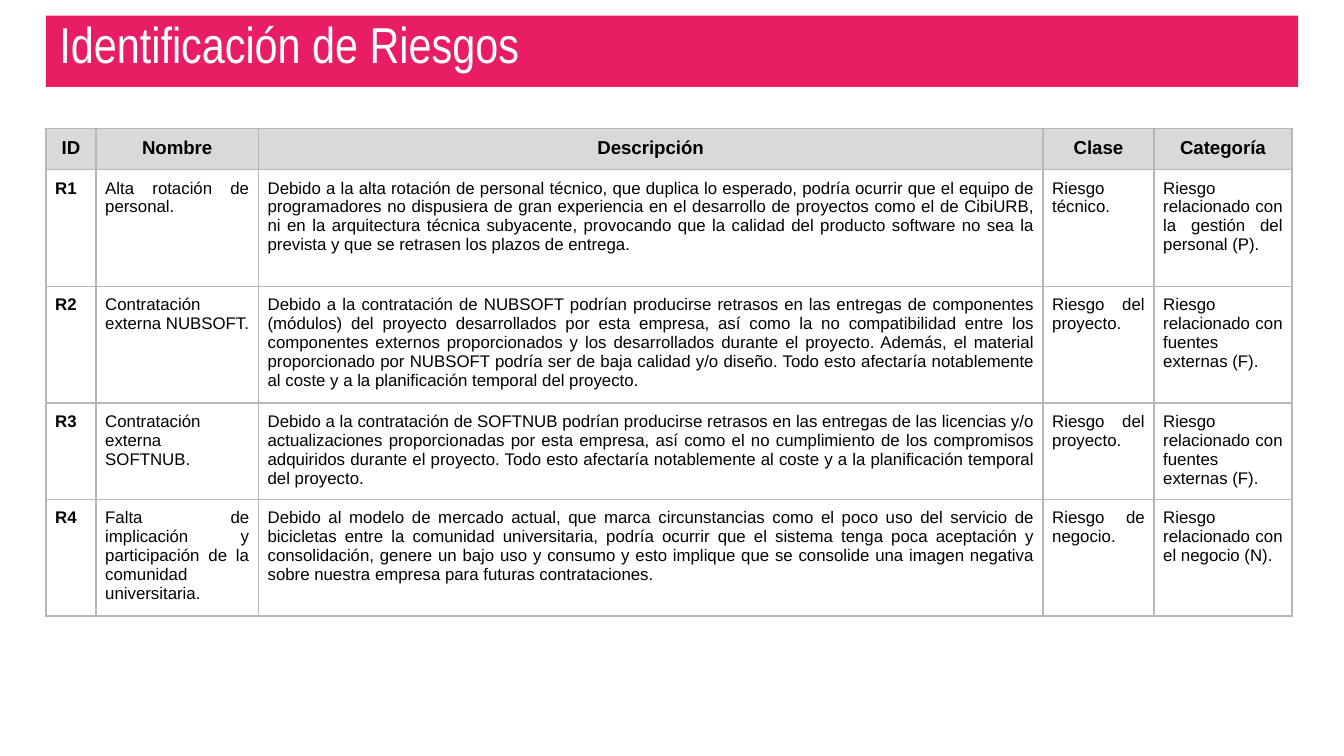
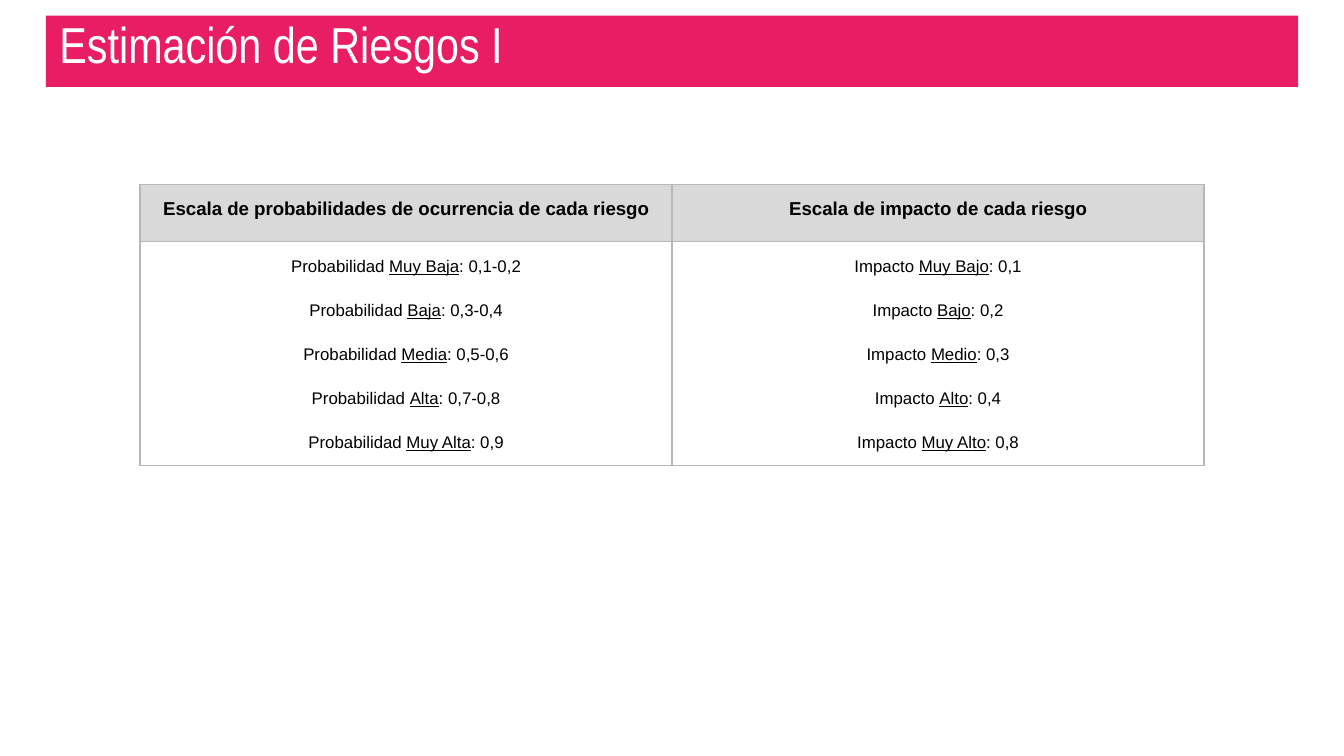
import pptx
import pptx.util
import pptx.dml.color
import pptx.enum.text
import pptx.oxml
import pptx.oxml.ns

Pt = pptx.util.Pt
Color = pptx.dml.color.RGBColor
Align = pptx.enum.text.PP_ALIGN
Anchor = pptx.enum.text.MSO_ANCHOR

PINK = Color(0xE9, 0x1D, 0x63)
WHITE = Color(0xFF, 0xFF, 0xFF)
BLACK = Color(0, 0, 0)
HEAD = Color(0xD9, 0xD9, 0xD9)
EDGE = Color(0xB7, 0xB7, 0xB7)

WIDTH, HEIGHT = 720, 405
BAND = (24.6, 8.4, 670.8, 38.2)

RISKS = [
    ("ID", "Nombre", "Descripción", "Clase", "Categoría"),
    ("R1", "Alta rotación de personal.",
     "Debido a la alta rotación de personal técnico, que duplica lo esperado, "
     "podría ocurrir que el equipo de programadores no dispusiera de gran "
     "experiencia en el desarrollo de proyectos como el de CibiURB, ni en la "
     "arquitectura técnica subyacente, provocando que la calidad del producto "
     "software no sea la prevista y que se retrasen los plazos de entrega.",
     "Riesgo técnico.",
     "Riesgo relacionado con la gestión del personal (P)."),
    ("R2", "Contratación externa NUBSOFT.",
     "Debido a la contratación de NUBSOFT podrían producirse retrasos en las "
     "entregas de componentes (módulos) del proyecto desarrollados por esta "
     "empresa, así como la no compatibilidad entre los componentes externos "
     "proporcionados y los desarrollados durante el proyecto. Además, el "
     "material proporcionado por NUBSOFT podría ser de baja calidad y/o "
     "diseño. Todo esto afectaría notablemente al coste y a la planificación "
     "temporal del proyecto.",
     "Riesgo del proyecto.",
     "Riesgo relacionado con fuentes externas (F)."),
    ("R3", "Contratación externa SOFTNUB.",
     "Debido a la contratación de SOFTNUB podrían producirse retrasos en las "
     "entregas de las licencias y/o actualizaciones proporcionadas por esta "
     "empresa, así como el no cumplimiento de los compromisos adquiridos "
     "durante el proyecto. Todo esto afectaría notablemente al coste y a la "
     "planificación temporal del proyecto.",
     "Riesgo del proyecto.",
     "Riesgo relacionado con fuentes externas (F)."),
    ("R4",
     "Falta de implicación y participación de la comunidad universitaria.",
     "Debido al modelo de mercado actual, que marca circunstancias como el "
     "poco uso del servicio de bicicletas entre la comunidad universitaria, "
     "podría ocurrir que el sistema tenga poca aceptación y consolidación, "
     "genere un bajo uso y consumo y esto implique que se consolide una "
     "imagen negativa sobre nuestra empresa para futuras contrataciones.",
     "Riesgo de negocio.",
     "Riesgo relacionado con el negocio (N)."),
]
RISK_COLS = (26.8, 87, 420.3, 59.5, 73.9)
RISK_ROWS = (22, 62.6, 62.6, 51.6, 62.6)

ODDS = [("Muy Baja", "0,1-0,2"), ("Baja", "0,3-0,4"), ("Media", "0,5-0,6"),
        ("Alta", "0,7-0,8"), ("Muy Alta", "0,9")]
IMPACTS = [("Muy Bajo", "0,1"), ("Bajo", "0,2"), ("Medio", "0,3"),
           ("Alto", "0,4"), ("Muy Alto", "0,8")]
SCALES = [
    ("Escala de probabilidades de ocurrencia de cada riesgo",
     "Escala de impacto de cada riesgo"),
    ("\n".join(f"Probabilidad _{name}_: {value}" for name, value in ODDS),
     "\n".join(f"Impacto _{name}_: {value}" for name, value in IMPACTS)),
]
SCALE_COLS = (285, 285)
SCALE_ROWS = (30.2, 120)


def write(frame, text, size, color=BLACK, font="Arial", bold=False,
          align=Align.LEFT, before=0, after=0, lines=1.0):
    """Write one paragraph per line; words between underscores are underlined."""
    rows = text.split("\n")
    for i, row in enumerate(rows):
        para = frame.add_paragraph() if i else frame.paragraphs[0]
        para.alignment = align
        para.line_spacing = lines
        para.space_before = Pt(before)
        para.space_after = Pt(after if i == len(rows) - 1 else 0)
        for j, part in enumerate(row.split("_")):
            run = para.add_run()
            run.text = part
            run.font.size = Pt(size)
            run.font.name = font
            run.font.bold = bold
            run.font.underline = j % 2 == 1
            run.font.color.rgb = color


def add_page(deck, title):
    page = deck.slides.add_slide(deck.slide_layouts[5])
    band = page.shapes.title
    band.left, band.top, band.width, band.height = map(Pt, BAND)
    band.fill.solid()
    band.fill.fore_color.rgb = PINK
    frame = band.text_frame
    frame.auto_size = pptx.enum.text.MSO_AUTO_SIZE.NONE
    frame.word_wrap = True
    frame.vertical_anchor = Anchor.BOTTOM
    frame.margin_left = frame.margin_right = frame.margin_bottom = Pt(7.2)
    frame.margin_top = 0
    write(frame, title, 27, color=WHITE, font="Arial Narrow")
    return page


def add_edges(cell, width):
    props = cell._tc.get_or_add_tcPr()
    for side in "LRTB":
        props.append(pptx.oxml.parse_xml(
            f'<a:ln{side} {pptx.oxml.ns.nsdecls("a")} w="{Pt(width)}">'
            f'<a:solidFill><a:srgbClr val="{EDGE}"/></a:solidFill>'
            f'</a:ln{side}>'))


def add_grid(page, data, left, top, cols, rows, pad, edge, body):
    """Draw a table with a grey head row; body formats the other rows."""
    table = page.shapes.add_table(
        len(rows), len(cols), Pt(left), Pt(top),
        Pt(sum(cols)), Pt(sum(rows))).table
    table.horz_banding = False
    for col, width in zip(table.columns, cols):
        col.width = Pt(width)
    for row, height in zip(table.rows, rows):
        row.height = Pt(height)
    for r, texts in enumerate(data):
        for c, text in enumerate(texts):
            cell = table.cell(r, c)
            cell.margin_left = cell.margin_right = Pt(pad)
            cell.margin_top = cell.margin_bottom = Pt(pad)
            cell.vertical_anchor = Anchor.TOP
            add_edges(cell, edge)
            if r == 0:
                cell.fill.solid()
                cell.fill.fore_color.rgb = HEAD
                write(cell.text_frame, text, 10, bold=True,
                      align=Align.CENTER)
            else:
                cell.fill.background()
                is_code = c == 0 and data is RISKS
                write(cell.text_frame, text, 9, bold=is_code, **body)


def main():
    deck = pptx.Presentation()
    deck.slide_width, deck.slide_height = Pt(WIDTH), Pt(HEIGHT)

    page = add_page(deck, "Identificación de Riesgos")
    add_grid(page, RISKS, BAND[0], 68.8, RISK_COLS, RISK_ROWS, pad=5, edge=1,
             body={"align": Align.JUSTIFY, "before": 4, "after": 4})

    page = add_page(deck, "Estimación de Riesgos I")
    left = (WIDTH - sum(SCALE_COLS)) / 2
    add_grid(page, SCALES, left, 99, SCALE_COLS, SCALE_ROWS, pad=7.2,
             edge=0.75, body={"align": Align.CENTER, "before": 12,
                              "after": 12, "lines": 1.15})

    deck.save("out.pptx")


if __name__ == "__main__":
    main()
